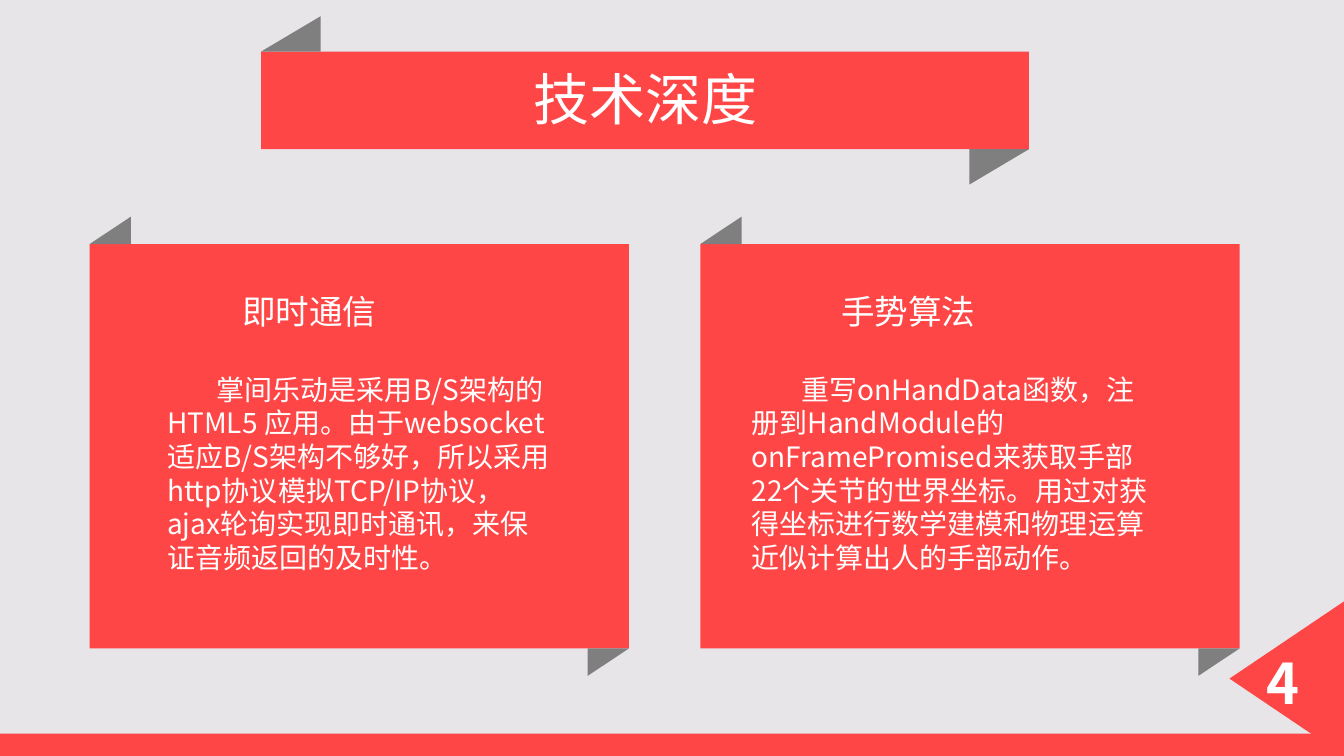
from lxml import etree
from pptx import Presentation
from pptx.dml.color import RGBColor
from pptx.enum import shapes, text
from pptx.oxml import ns
from pptx.util import Cm, Pt

COLORS = {"background": "E7E5E8", "ribbon": "FF4646", "fold": "7F7F7F", "text": "FFFFFF"}
CJK_FONT = "Noto Sans CJK SC"

presentation = Presentation()
presentation.slide_width, presentation.slide_height = Cm(33.87), Cm(19.05)
slide = presentation.slides.add_slide(presentation.slide_layouts[5])
slide.background.fill.solid()
slide.background.fill.fore_color.rgb = RGBColor.from_string(COLORS["background"])


def add_block(kind, left, top, width, height, color, rotation=0):
    shape = slide.shapes.add_shape(kind, Cm(left), Cm(top), Cm(width), Cm(height))
    shape.shadow.inherit = False
    shape.fill.solid()
    shape.fill.fore_color.rgb = RGBColor.from_string(COLORS[color])
    shape.line.fill.background()
    shape.rotation = rotation
    return shape


def write(paragraph, content, size, font=CJK_FONT, bold=False, indent=0,
          before=0, spacing=None, align=text.PP_ALIGN.LEFT):
    paragraph.alignment = align
    paragraph.space_before = Pt(before)
    if spacing:
        paragraph.line_spacing = Pt(spacing)
    paragraph._p.get_or_add_pPr().set("indent", str(int(Cm(indent))))
    run = paragraph.add_run()
    run.text = content
    run.font.name, run.font.size, run.font.bold = font, Pt(size), bold
    run.font.color.rgb = RGBColor.from_string(COLORS["text"])
    east_asian = etree.Element(ns.qn("a:ea"), typeface=CJK_FONT)
    run._r.get_or_add_rPr().find(ns.qn("a:latin")).addnext(east_asian)


RECTANGLE = shapes.MSO_SHAPE.RECTANGLE
TRIANGLE = shapes.MSO_SHAPE.ISOSCELES_TRIANGLE

ribbons = [
    (6.58, 1.3, 19.35, 2.46, 1.5, 0.89),
    (2.26, 6.15, 13.59, 10.19, 1.04, 0.69),
    (17.65, 6.15, 13.59, 10.19, 1.04, 0.69),
]
for left, top, width, height, fold_width, fold_height in ribbons:
    add_block(RECTANGLE, left, top, width, height, "ribbon")
    folds = [(left, top - fold_height, 0), (left + width - fold_width, top + height, 180)]
    for fold_left, fold_top, rotation in folds:
        fold = add_block(TRIANGLE, fold_left, fold_top, fold_width, fold_height, "fold", rotation)
        fold.adjustments[0] = 1

title = slide.shapes.title
title.left, title.top, title.width, title.height = Cm(8.69), Cm(1.6), Cm(15.16), Cm(1.93)
frame = title.text_frame
frame.margin_left = frame.margin_right = frame.margin_top = 0
frame.margin_bottom = Cm(0.2)
frame.vertical_anchor = text.MSO_ANCHOR.MIDDLE
frame.auto_size = text.MSO_AUTO_SIZE.NONE
write(frame.paragraphs[0], "技术深度", 40, font="Arial", align=text.PP_ALIGN.CENTER)
slide.shapes._spTree.append(title._element)

cards = [
    (3.96, 10.24, 1.89, "即时通信",
     "掌间乐动是采用B/S架构的HTML5 应用。由于websocket适应B/S架构不够好，"
     "所以采用http协议模拟TCP/IP协议，ajax轮询实现即时通讯，来保证音频返回的及时性。"),
    (18.69, 10.8, 2.26, "手势算法",
     "重写onHandData函数，注册到HandModule的onFramePromised来获取手部22个关节的世界坐标。"
     "用过对获得坐标进行数学建模和物理运算近似计算出人的手部动作。"),
]
for left, width, heading_indent, heading, body in cards:
    box = slide.shapes.add_textbox(Cm(left), Cm(7.21), Cm(width), Cm(7.44))
    box.text_frame.word_wrap = True
    write(box.text_frame.paragraphs[0], heading, 24, indent=heading_indent, spacing=29)
    write(box.text_frame.add_paragraph(), body, 20, indent=1.25, before=29, spacing=24)

add_block(RECTANGLE, 0, 18.49, 33.87, 0.56, "ribbon")
add_block(TRIANGLE, 30.48, 15.65, 3.91, 2.9, "ribbon", 270)
page_number = slide.shapes.add_textbox(Cm(31.67), Cm(16.21), Cm(1.42), Cm(1.96))
page_number.text_frame.word_wrap = True
write(page_number.text_frame.paragraphs[0], "4", 40, font="Noto Sans CJK JP", bold=True, spacing=48)

presentation.save("out.pptx")
